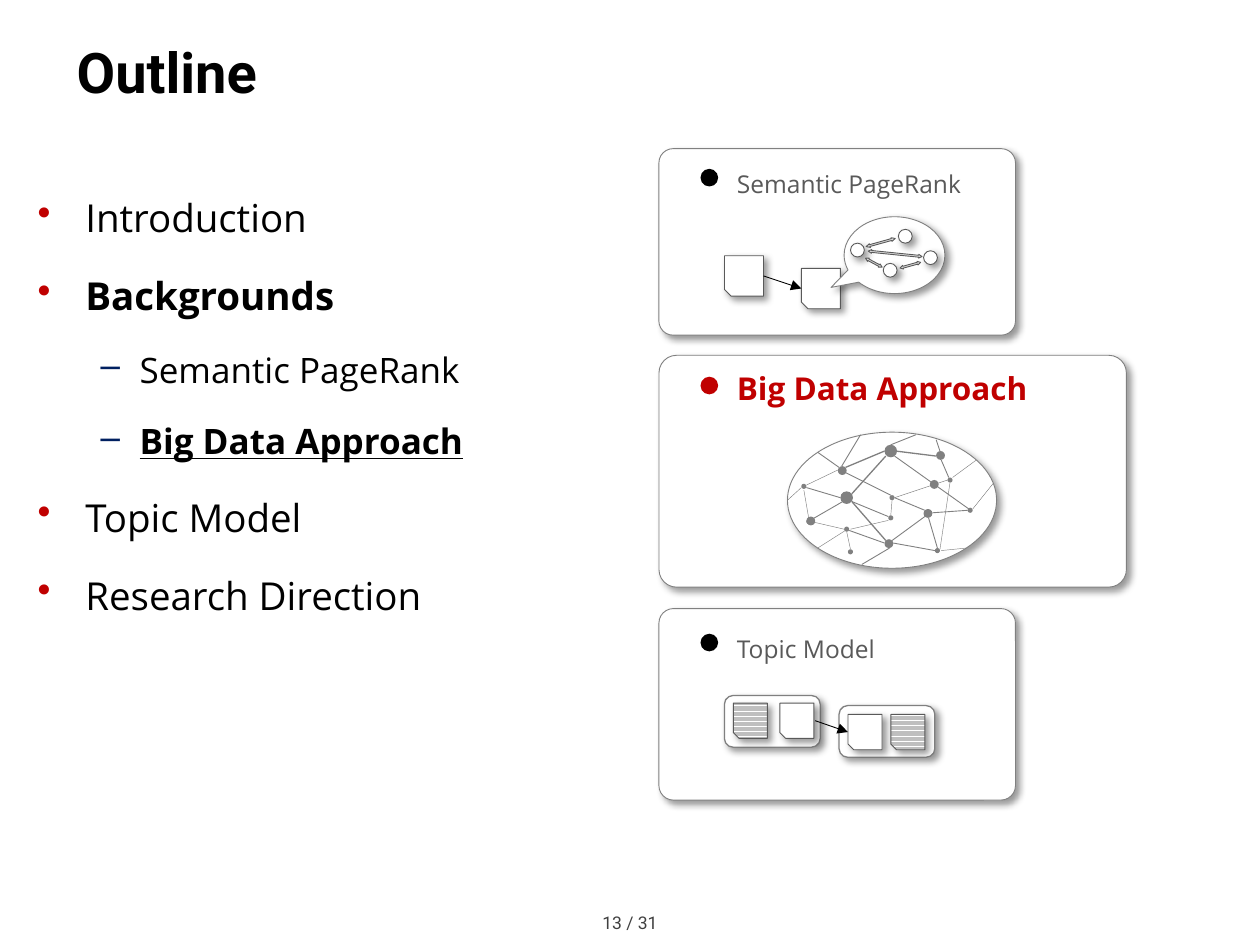
"""Build the outline slide with its three topic cards."""
from lxml import etree
from pptx import Presentation
from pptx.dml.color import RGBColor
from pptx.enum.dml import MSO_PATTERN
from pptx.enum.shapes import MSO_CONNECTOR, MSO_SHAPE
from pptx.enum.text import MSO_ANCHOR, PP_ALIGN
from pptx.oxml.ns import qn
from pptx.util import Inches, Pt

OVAL = MSO_SHAPE.OVAL
ROUNDED = MSO_SHAPE.ROUNDED_RECTANGLE
SNIPPED = MSO_SHAPE.SNIP_1_RECTANGLE
CALLOUT = MSO_SHAPE.OVAL_CALLOUT
DOUBLE_ARROW = MSO_SHAPE.LEFT_RIGHT_ARROW
STRAIGHT = MSO_CONNECTOR.STRAIGHT
STRIPES = MSO_PATTERN.DARK_HORIZONTAL
MIDDLE = MSO_ANCHOR.MIDDLE
LEFT, CENTER = PP_ALIGN.LEFT, PP_ALIGN.CENTER

COLORS = {"black": "000000", "white": "FFFFFF", "red": "C00000", "navy": "002060",
          "gray": "808080", "dark": "595959", "footer": "404040",
          "arrow": "D9D9D9", "stripe": "BFBFBF"}

OUTLINE = [("Introduction", 0, False, False), ("Backgrounds", 0, True, False),
           ("Semantic PageRank", 1, False, False), ("Big Data Approach", 1, True, True),
           ("Topic Model", 0, False, False), ("Research Direction", 0, False, False)]
LEVELS = [(22, 0.38, 0.38, "•", "red"), (20, 0.81, 0.31, "–", "navy")]

NODES = {
    0.04: [(6.7, 4.18), (7.06, 3.93), (7.42, 4.35), (7.52, 3.79), (7.68, 4.03),
           (6.36, 3.84), (7.05, 4.09), (6.4, 4.12), (6.73, 4.36)],
    0.07: [(6.65, 3.7), (7.02, 4.28), (7.43, 3.58), (7.33, 4.04), (6.4, 4.1), (7.38, 3.81)],
    0.1: [(6.67, 3.9), (7.02, 3.53)],
}
EDGES = {
    0.25: [(6.65, 3.73, 6.4, 3.85), (7.52, 3.81, 7.1, 3.95), (7.75, 3.65, 7.56, 3.79),
           (7.08, 3.97, 7.07, 4.09), (7.05, 4.13, 6.75, 4.2), (6.38, 3.89, 6.42, 4.12),
           (6.44, 4.14, 6.7, 4.2), (6.71, 4.21, 6.49, 4.35), (6.36, 3.87, 6.25, 3.97),
           (7.54, 3.83, 7.46, 4.36), (7.47, 4.37, 7.67, 4.35), (6.72, 4.22, 6.75, 4.36),
           (7.88, 3.84, 7.72, 4.04)],
    0.5: [(7.07, 3.93, 6.71, 3.75), (7.69, 4.04, 7.1, 3.62), (7.34, 4.1, 7.08, 4.29),
          (7.02, 4.31, 6.74, 4.21), (7.42, 4.37, 7.09, 4.31), (7.37, 4.11, 7.44, 4.35),
          (7.34, 4.05, 7.1, 3.95), (7.47, 3.65, 7.53, 3.79), (7.68, 4.05, 7.4, 4.07),
          (6.66, 3.71, 6.49, 3.59), (6.68, 3.7, 6.83, 3.45), (7.46, 3.58, 7.43, 3.49),
          (7.07, 3.53, 7.27, 3.45), (6.76, 3.98, 7.05, 4.1), (6.69, 3.98, 6.43, 4.13),
          (6.67, 3.95, 6.4, 3.87), (7.06, 4.35, 6.84, 4.48)],
    0.75: [(7.03, 3.62, 6.76, 3.92), (7.11, 3.58, 7.43, 3.62), (7.02, 3.58, 6.71, 3.71),
           (7.03, 4.29, 6.76, 3.98)],
}


def rgb(name):
    """Return the named colour."""
    return RGBColor.from_string(COLORS[name])


def add_shadow(shape):
    """Give a shape a soft shadow to the lower right."""
    effects = shape._element.spPr.find(qn("a:effectLst"))
    shadow = etree.SubElement(effects, qn("a:outerShdw"), blurRad=str(Pt(4)),
                              dist=str(Pt(3)), dir="2700000", algn="tl", rotWithShape="0")
    color = etree.SubElement(shadow, qn("a:srgbClr"), val=COLORS["black"])
    etree.SubElement(color, qn("a:alpha"), val="40000")


def add_figure(slide, kind, at, fill="white", line="dark", width=0.5, shadow=True,
               adjust=(), rotation=0):
    """Add a preset shape; a line of None leaves it without an outline."""
    shape = slide.shapes.add_shape(kind, *map(Inches, at))
    shape.rotation = rotation
    for index, value in enumerate(adjust):
        shape.adjustments[index] = value
    if fill == "stripe":
        shape.fill.patterned()
        shape.fill.pattern = STRIPES
        shape.fill.fore_color.rgb = rgb("stripe")
        shape.fill.back_color.rgb = rgb("white")
    else:
        shape.fill.solid()
        shape.fill.fore_color.rgb = rgb(fill)
    if line:
        shape.line.color.rgb = rgb(line)
        shape.line.width = Pt(width)
    else:
        shape.line.fill.background()
    shape.shadow.inherit = False
    if shadow:
        add_shadow(shape)


def add_dot(slide, left, top, size, color):
    """Add a plain filled circle."""
    add_figure(slide, OVAL, (left, top, size, size), color, None, shadow=False)


def add_page(slide, left, top, width, height, fill="white"):
    """Add a document icon with a cut lower left corner."""
    add_figure(slide, SNIPPED, (left, top, width, height), fill, rotation=180)


def add_line(slide, ends, color, width, arrow=False):
    """Add a straight line, with an arrowhead at its end if asked."""
    line = slide.shapes.add_connector(STRAIGHT, *map(Inches, ends))
    line.line.color.rgb = rgb(color)
    line.line.width = Pt(width)
    properties = line._element.spPr
    if arrow:
        etree.SubElement(properties.find(qn("a:ln")), qn("a:tailEnd"), type="triangle")
    etree.SubElement(properties, qn("a:effectLst"))


def add_box(slide, at):
    """Add an empty wrapping text box and return it."""
    box = slide.shapes.add_textbox(*map(Inches, at))
    box.text_frame.word_wrap = True
    return box


def add_span(para, text, size, color="black", font="Open Sans", bold=False):
    """Add one run of text and return it."""
    span = para.add_run()
    span.text = text
    span.font.name = font
    span.font.size = Pt(size)
    span.font.bold = bold
    span.font.color.rgb = rgb(color)
    return span


def add_label(slide, at, text, size, color="dark", font="Open Sans", bold=False,
              spacing=None, align=LEFT):
    """Add a one-line text box."""
    box = add_box(slide, at)
    para = box.text_frame.paragraphs[0]
    para.alignment = align
    if spacing:
        para.line_spacing = Pt(spacing)
    add_span(para, text, size, color, font, bold)
    return box


def add_outline(slide):
    """Add the bulleted list of topics."""
    frame = add_box(slide, (0.2, 1.31, 5, 5.83)).text_frame
    for index, (text, level, bold, underline) in enumerate(OUTLINE):
        size, margin, hanging, bullet, color = LEVELS[level]
        para = frame.add_paragraph() if index else frame.paragraphs[0]
        properties = para._p.get_or_add_pPr()
        properties.set("marL", str(Inches(margin)))
        properties.set("indent", str(-Inches(hanging)))
        tint = etree.SubElement(properties, qn("a:buClr"))
        etree.SubElement(tint, qn("a:srgbClr"), val=COLORS[color])
        etree.SubElement(properties, qn("a:buChar"), char=bullet)
        para.level = level
        para.line_spacing = 1.5
        para.space_before = Pt(0)
        para.space_after = Pt(5)
        add_span(para, text, size, bold=bold).font.underline = underline


def add_card(slide, top, width, height, dot_top, label_top, text, active=False):
    """Add a topic card with its dot and heading."""
    add_figure(slide, ROUNDED, (5.23, top, width, height), line="gray", adjust=[0.076])
    add_dot(slide, 5.56, dot_top, 0.14, "red" if active else "black")
    add_label(slide, (5.75, label_top, 2.87, 0.43), text, 18 if active else 14,
              "red" if active else "dark", bold=active, spacing=25)


def add_pagerank(slide):
    """Draw linked pages with a graph in a callout."""
    add_page(slide, 6.36, 2.13, 0.31, 0.32)
    add_page(slide, 5.75, 2.03, 0.31, 0.32)
    add_line(slide, (6.06, 2.19, 6.36, 2.29), "black", 0.5, True)
    add_figure(slide, CALLOUT, (6.7, 1.72, 0.8, 0.61), line="gray", adjust=[-0.63, 0.42])
    for left, top in [(7.13, 1.82), (7.01, 2.09), (7.33, 1.99), (6.75, 1.93)]:
        add_figure(slide, OVAL, (left, top, 0.11, 0.11))
    for left, top, width, angle, head in [(6.87, 1.91, 0.24, 344.4, 1.03),
                                          (6.86, 2.07, 0.15, 28.2, 0.87),
                                          (6.89, 2, 0.43, 5.8, 0.91),
                                          (7.14, 2.09, 0.17, 344.5, 0.85)]:
        add_figure(slide, DOUBLE_ARROW, (left, top, width, 0.03), "arrow",
                   shadow=False, adjust=[0.5, head], rotation=angle)


def add_network(slide):
    """Draw the large network inside an ellipse."""
    add_figure(slide, OVAL, (6.25, 3.43, 1.66, 1.08), line="gray")
    for width, edges in EDGES.items():
        for ends in edges:
            add_line(slide, ends, "gray", width)
    for size, nodes in NODES.items():
        for left, top in nodes:
            add_dot(slide, left, top, size, "gray")


def add_topic_pairs(slide):
    """Draw two linked pairs of a plain and a striped page."""
    for left, top, striped, plain, page_top in [(5.75, 5.52, 5.82, 6.19, 5.58),
                                                (6.66, 5.6, 7.07, 6.73, 5.67)]:
        add_figure(slide, ROUNDED, (left, top, 0.76, 0.41), line="gray", width=0.75)
        add_page(slide, striped, page_top, 0.27, 0.28, "stripe")
        add_page(slide, plain, page_top, 0.27, 0.28)
    add_line(slide, (6.47, 5.72, 6.73, 5.81), "black", 0.5, True)


def main():
    """Build and save the deck."""
    deck = Presentation()
    deck.slide_width, deck.slide_height = Inches(10), Inches(7.5)
    slide = deck.slides.add_slide(deck.slide_layouts[6])
    title = add_label(slide, (0.51, 0.13, 9.29, 0.87), "Outline", 32, "black", "Roboto", True)
    title.text_frame.vertical_anchor = MIDDLE
    add_outline(slide)
    add_card(slide, 1.18, 2.83, 1.48, 1.34, 1.18, "Semantic PageRank")
    add_pagerank(slide)
    add_card(slide, 2.82, 3.71, 1.84, 2.99, 2.83, "Big Data Approach", True)
    add_network(slide)
    add_card(slide, 4.83, 2.83, 1.52, 5.03, 4.87, "Topic Model")
    add_topic_pairs(slide)
    add_label(slide, (0, 7.19, 10, 0.27), "13 / 31", 10, "footer", "Roboto", align=CENTER)
    deck.save("out.pptx")


if __name__ == "__main__":
    main()
